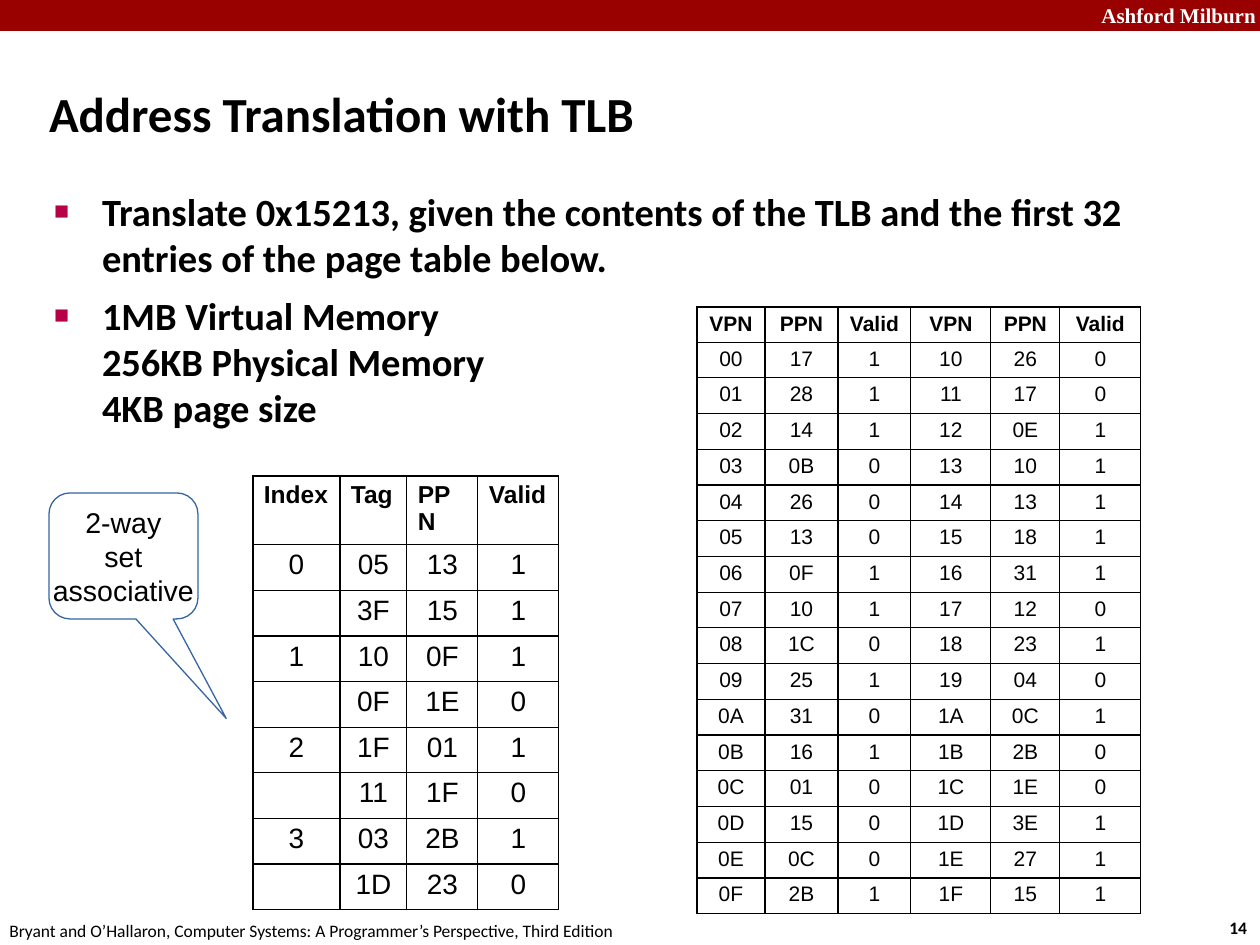
from lxml.etree import SubElement
from pptx import Presentation
from pptx.dml.color import RGBColor
from pptx.enum.shapes import MSO_SHAPE
from pptx.enum.text import MSO_ANCHOR, MSO_AUTO_SIZE, PP_ALIGN
from pptx.oxml.ns import qn
from pptx.util import Emu, Pt

PIXELS_PER_INCH = 126
BLACK, WHITE, HEADER_RED = "000000", "FFFFFF", "990000"
BULLET_RED, CALLOUT_BLUE = "B80047", "3465A4"

BULLETS = [
    ["Translate 0x15213, given the contents of the TLB and the first 32 "
     "entries of the page table below."],
    ["1MB Virtual Memory", "256KB Physical Memory", "4KB page size"],
]

TLB_ROWS = [
    ["Index", "Tag", "PPN", "Valid"],
    ["0", "05", "13", "1"],
    ["", "3F", "15", "1"],
    ["1", "10", "0F", "1"],
    ["", "0F", "1E", "0"],
    ["2", "1F", "01", "1"],
    ["", "11", "1F", "0"],
    ["3", "03", "2B", "1"],
    ["", "1D", "23", "0"],
]

# Physical page number and valid bit for each virtual page, in order from 00
PAGE_ENTRIES = [
    ("17", 1), ("28", 1), ("14", 1), ("0B", 0), ("26", 0), ("13", 0), ("0F", 1), ("10", 1),
    ("1C", 0), ("25", 1), ("31", 0), ("16", 1), ("01", 0), ("15", 0), ("0C", 0), ("2B", 1),
    ("26", 0), ("17", 0), ("0E", 1), ("10", 1), ("13", 1), ("18", 1), ("31", 1), ("12", 0),
    ("23", 1), ("04", 0), ("0C", 1), ("2B", 0), ("1E", 0), ("3E", 1), ("27", 1), ("15", 1),
]


def px(length):
    return Emu(round(length * 914400 / PIXELS_PER_INCH))


def color(hex_string):
    return RGBColor.from_string(hex_string)


def add_run(paragraph, text, size, font="Calibri", bold=False, fill=BLACK):
    run = paragraph.add_run()
    run.text = text
    run.font.size = Pt(size)
    run.font.name = font
    run.font.bold = bold
    run.font.color.rgb = color(fill)


def set_margins(frame, horizontal, vertical):
    frame.margin_left = frame.margin_right = px(horizontal)
    frame.margin_top = frame.margin_bottom = px(vertical)


def place(shape, left, top, width, height):
    shape.left, shape.top = px(left), px(top)
    shape.width, shape.height = px(width), px(height)


def add_text(slide, box, text, size, **style):
    frame = slide.shapes.add_textbox(*map(px, box)).text_frame
    frame.word_wrap = True
    add_run(frame.paragraphs[0], text, size, **style)


def add_header_bar(slide):
    bar = slide.shapes.add_shape(MSO_SHAPE.RECTANGLE, 0, 0, px(1260), px(31))
    bar.shadow.inherit = False
    bar.fill.solid()
    bar.fill.fore_color.rgb = color(HEADER_RED)
    bar.line.fill.background()


def fill_title(slide, text):
    title = slide.shapes.title
    place(title, 49, 83, 1046, 59)
    frame = title.text_frame
    set_margins(frame, 0, 0)
    frame.vertical_anchor = MSO_ANCHOR.MIDDLE
    frame.auto_size = MSO_AUTO_SIZE.NONE
    frame.paragraphs[0].alignment = PP_ALIGN.LEFT
    add_run(frame.paragraphs[0], text, 28, bold=True)


def add_square_bullet(paragraph):
    properties = paragraph._p.get_or_add_pPr()
    properties.set("marL", str(px(48)))
    properties.set("indent", str(-px(48)))
    bullet_color = SubElement(properties, qn("a:buClr"))
    SubElement(bullet_color, qn("a:srgbClr"), val=BULLET_RED)
    SubElement(properties, qn("a:buSzPct"), val="65000")
    SubElement(properties, qn("a:buFont"), typeface="Arial")
    SubElement(properties, qn("a:buChar"), char="■")


def fill_body(slide, bullets):
    body = slide.placeholders[1]
    place(body, 54, 188, 1089, 685)
    frame = body.text_frame
    set_margins(frame, 0, 0)
    frame.auto_size = MSO_AUTO_SIZE.NONE
    for index, lines in enumerate(bullets):
        paragraph = frame.add_paragraph() if index else frame.paragraphs[0]
        paragraph.space_before, paragraph.space_after = Pt(0), Pt(6.5)
        add_square_bullet(paragraph)
        for line_index, line in enumerate(lines):
            if line_index:
                paragraph.add_line_break()
            add_run(paragraph, line, 22, bold=True)


def format_cell(cell):
    set_margins(cell, 11, 5)
    properties = cell._tc.get_or_add_tcPr()
    for side in ("lnL", "lnR", "lnT", "lnB"):
        border = SubElement(properties, qn(f"a:{side}"), w=str(Pt(0.75)))
        border_fill = SubElement(border, qn("a:solidFill"))
        SubElement(border_fill, qn("a:srgbClr"), val=BLACK)
    cell.fill.background()


def add_grid(slide, left, top, widths, header_height, body_height, rows,
             header_size, body_size, header_alignment):
    frame = slide.shapes.add_table(len(rows), len(widths), px(left), px(top),
                                   px(sum(widths)), px(header_height + body_height))
    table = frame.table
    table.first_row = table.horz_banding = False
    for column, width in zip(table.columns, widths):
        column.width = px(width)
    for row_index, values in enumerate(rows):
        is_header = row_index == 0
        size = header_size if is_header else body_size
        table.rows[row_index].height = px(
            header_height if is_header else body_height / (len(rows) - 1))
        for column_index, value in enumerate(values):
            cell = table.cell(row_index, column_index)
            format_cell(cell)
            paragraph = cell.text_frame.paragraphs[0]
            paragraph.alignment = header_alignment if is_header else PP_ALIGN.CENTER
            if value:
                add_run(paragraph, value, size, "Arial", bold=is_header)
            else:
                # Keeps empty cells from stretching their row
                SubElement(paragraph._p, qn("a:endParaRPr"), sz=str(size * 100))


def page_table_rows():
    entries = [[f"{page:02X}", frame_number, str(valid)]
               for page, (frame_number, valid) in enumerate(PAGE_ENTRIES)]
    half = len(entries) // 2
    pairs = zip(entries[:half], entries[half:])
    return [["VPN", "PPN", "Valid"] * 2] + [first + second for first, second in pairs]


def add_callout(slide, lines):
    callout = slide.shapes.add_shape(MSO_SHAPE.ROUNDED_RECTANGULAR_CALLOUT,
                                     px(49), px(493), px(149), px(126))
    callout.adjustments[0], callout.adjustments[1] = 0.69, 1.29
    callout.shadow.inherit = False
    callout.fill.background()
    callout.line.color.rgb = color(CALLOUT_BLUE)
    callout.line.width = Pt(0)
    frame = callout.text_frame
    set_margins(frame, 11, 5)
    frame.word_wrap = False
    frame.vertical_anchor = MSO_ANCHOR.MIDDLE
    for index, line in enumerate(lines):
        paragraph = frame.add_paragraph() if index else frame.paragraphs[0]
        paragraph.alignment = PP_ALIGN.CENTER
        add_run(paragraph, line, 16.3, "Arial")


def main():
    presentation = Presentation()
    presentation.slide_width, presentation.slide_height = px(1260), px(945)
    slide = presentation.slides.add_slide(presentation.slide_layouts[1])

    # Header and footer
    add_header_bar(slide)
    add_text(slide, (1089, -4, 180, 38), "Ashford Milburn", 12,
             font="Times New Roman", bold=True, fill=WHITE)
    add_text(slide, (1217, 911, 47, 34), "14", 10, bold=True)
    add_text(slide, (-3, 914, 640, 34),
             "Bryant and O’Hallaron, Computer Systems: A Programmer’s Perspective, Third Edition", 10)

    # Title and problem statement
    fill_title(slide, "Address Translation with TLB")
    fill_body(slide, BULLETS)

    # TLB and page table
    add_grid(slide, 253, 476, [87, 67, 71, 81], 67, 365, TLB_ROWS, 14, 16, PP_ALIGN.LEFT)
    add_grid(slide, 697, 307, [68, 73, 73, 80, 69, 81], 35, 572, page_table_rows(),
             12, 12, PP_ALIGN.CENTER)
    add_callout(slide, ["2-way", "set", "associative"])

    presentation.save("out.pptx")


if __name__ == "__main__":
    main()
